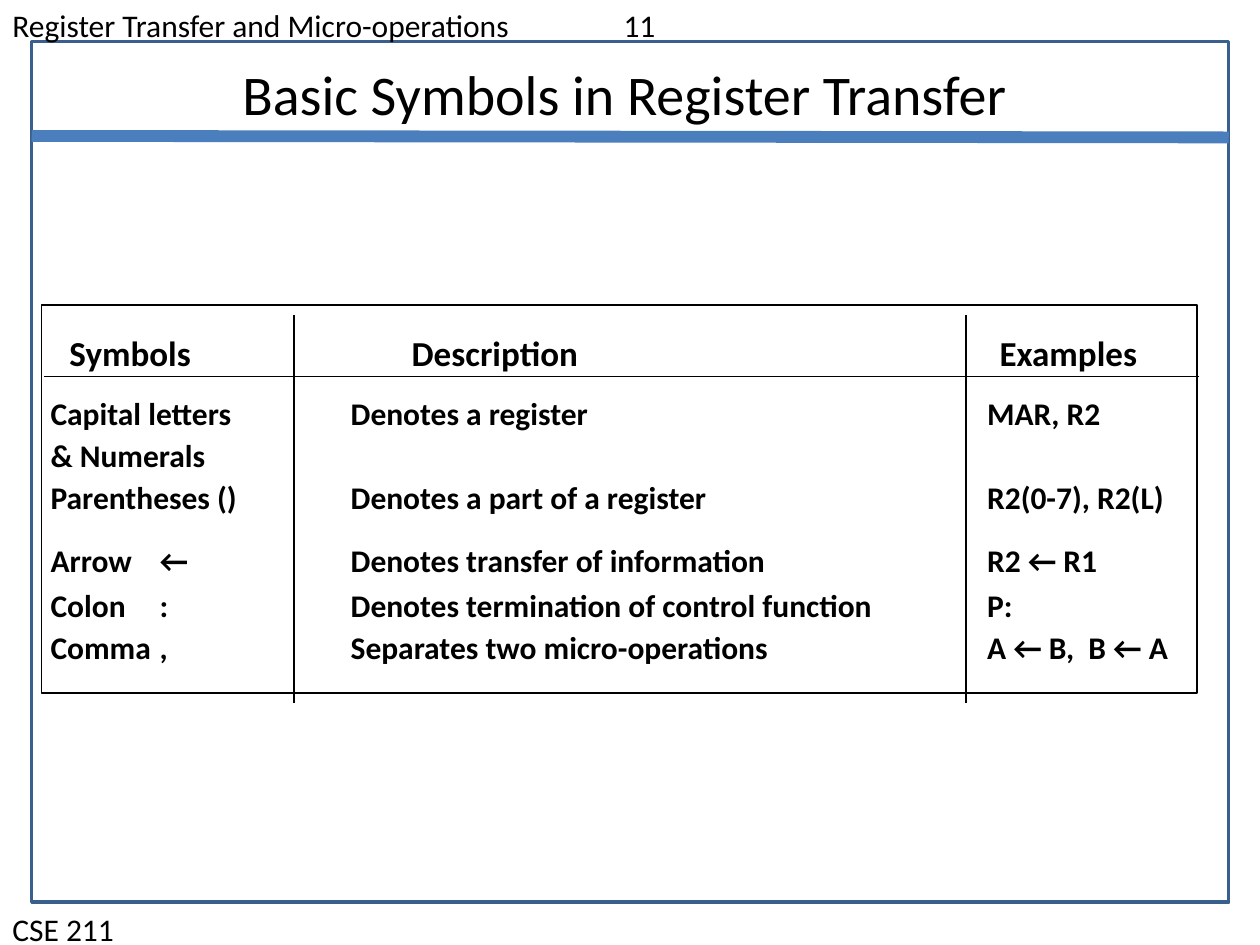
from typing import NamedTuple

import pptx
import pptx.dml.color
import pptx.enum.shapes
import pptx.enum.text
import pptx.oxml
import pptx.oxml.ns
import pptx.util
from pptx.util import Cm, Pt

BLACK = pptx.dml.color.RGBColor(0x00, 0x00, 0x00)
FRAME_BLUE = pptx.dml.color.RGBColor(0x3A, 0x5F, 0x8C)
RULE_BLUE = pptx.dml.color.RGBColor(0x4B, 0x7E, 0xBC)
CENTER = pptx.enum.text.PP_ALIGN.CENTER
FONT_NAME = "Calibri"


class Box(NamedTuple):
    left: float
    top: float
    width: float
    height: float


class Line(NamedTuple):
    start: tuple[float, float]
    end: tuple[float, float]
    color: pptx.dml.color.RGBColor = BLACK
    weight: float = 1


class Row(NamedTuple):
    text: str
    space_before: float = 1.5


class Label(NamedTuple):
    box: Box
    rows: list[Row]
    size: float
    bold: bool = False
    centered: bool = False
    wrap: bool = True
    tabs: tuple[float, ...] = ()
    insets: tuple[float, float] = (0.25, 0.13)
    line_spacing: float = 1.0


TABLE = Box(0.84, 6.15, 23.29, 7.82)
COLUMN_EDGES = (5.92, 19.48)
HEADER_BOTTOM = 7.59

LABELS = [
    Label(Box(0, 0, 25.4, 1.02),
          [Row("Register Transfer and Micro-operations\t11", 0)], 18, tabs=(12.32,)),
    Label(Box(0, 18.21, 25.4, 1.02), [Row("CSE 211", 0)], 18),
    Label(Box(1.9, 1.07, 21.39, 1.63),
          [Row("Basic Symbols in Register Transfer", 0)], 32, centered=True),
    Label(Box(1.14, 6.55, 2.97, 1.09), [Row("Symbols", 0)], 20,
          bold=True, centered=True, wrap=False),
    Label(Box(8.05, 6.55, 15.93, 1.09), [Row("Description\tExamples", 0)], 20,
          bold=True, tabs=(11.85,)),
    Label(Box(TABLE.left, 7.82, 23.77, 5.82), [
        Row("Capital letters\tDenotes a register\tMAR, R2", 0),
        Row("& Numerals"),
        Row("Parentheses ()\tDenotes a part of a register\tR2(0-7), R2(L)"),
        Row("Arrow\t←\tDenotes transfer of information\tR2 ← R1", 13),
        Row("Colon\t:\tDenotes termination of control function\tP:", 3),
        Row("Comma\t,\tSeparates two micro-operations\tA ← B,  B ← A"),
    ], 18, bold=True, tabs=(2.2, 6.05, 18.88), insets=(0.18, 0.08), line_spacing=1.05),
]

LINES = [
    Line((0.64, 2.74), (24.77, 2.77), RULE_BLUE, 6.75),
    *(Line((edge, 6.35), (edge, 14.17)) for edge in COLUMN_EDGES),
    Line((0.89, HEADER_BOTTOM), (24.18, HEADER_BOTTOM)),
]


def add_outline(slide, box: Box, color: pptx.dml.color.RGBColor, weight: float) -> None:
    shape = slide.shapes.add_shape(
        pptx.enum.shapes.MSO_SHAPE.RECTANGLE, *map(Cm, box))
    shape.shadow.inherit = False
    shape.fill.background()
    shape.line.color.rgb = color
    shape.line.width = Pt(weight)


def add_line(slide, line: Line) -> None:
    connector = slide.shapes.add_connector(
        pptx.enum.shapes.MSO_CONNECTOR.STRAIGHT, *map(Cm, line.start + line.end))
    connector.line.color.rgb = line.color
    connector.line.width = Pt(line.weight)
    properties = connector._element.spPr
    properties.append(pptx.oxml.parse_xml(
        f"<a:effectLst {pptx.oxml.ns.nsdecls('a')}/>"))


def add_tab_stops(paragraph, positions: tuple[float, ...]) -> None:
    stops = "".join(f'<a:tab pos="{Cm(position)}" algn="l"/>' for position in positions)
    paragraph._p.get_or_add_pPr().append(pptx.oxml.parse_xml(
        f"<a:tabLst {pptx.oxml.ns.nsdecls('a')}>{stops}</a:tabLst>"))


def add_label(slide, label: Label) -> None:
    frame = slide.shapes.add_textbox(*map(Cm, label.box)).text_frame
    frame.word_wrap = label.wrap
    frame.margin_left = frame.margin_right = Cm(label.insets[0])
    frame.margin_top = frame.margin_bottom = Cm(label.insets[1])
    for index, row in enumerate(label.rows):
        paragraph = frame.add_paragraph() if index else frame.paragraphs[0]
        paragraph.text = row.text
        if label.tabs:
            add_tab_stops(paragraph, label.tabs)
        if label.centered:
            paragraph.alignment = CENTER
        paragraph.line_spacing = label.line_spacing
        paragraph.space_before = Pt(row.space_before)
        paragraph.font.name = FONT_NAME
        paragraph.font.size = Pt(label.size)
        paragraph.font.bold = label.bold
        paragraph.font.color.rgb = BLACK


def main() -> None:
    presentation = pptx.Presentation()
    presentation.slide_width = Cm(25.4)
    presentation.slide_height = Cm(19.05)
    slide = presentation.slides.add_slide(presentation.slide_layouts[6])
    add_outline(slide, Box(0.64, 0.84, 24.13, 17.35), FRAME_BLUE, 2)
    add_outline(slide, TABLE, BLACK, 1)
    for line in LINES:
        add_line(slide, line)
    for label in LABELS:
        add_label(slide, label)
    presentation.save("out.pptx")


if __name__ == "__main__":
    main()
